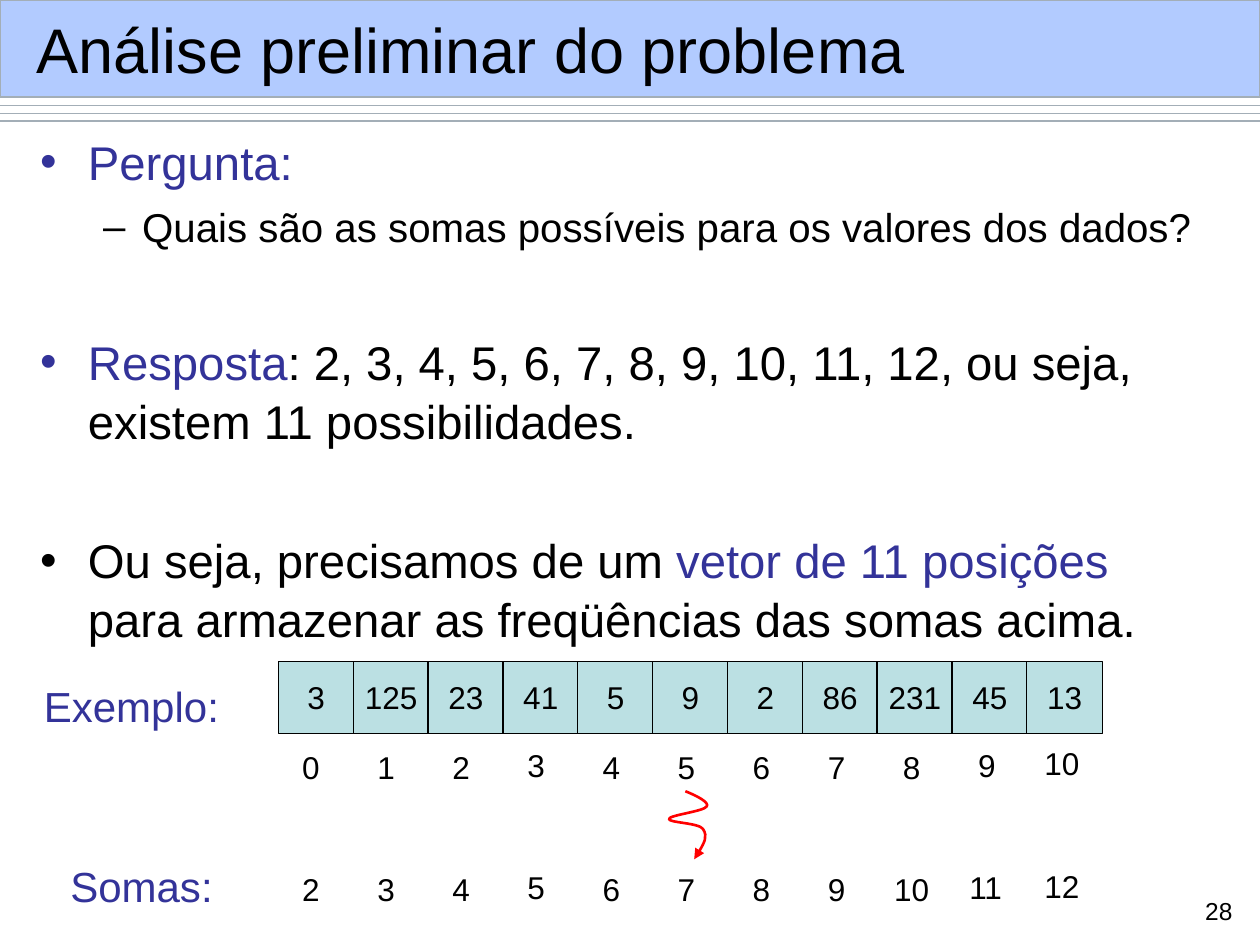
from dataclasses import dataclass
from lxml.etree import SubElement
from pptx import Presentation
from pptx.dml.color import RGBColor
from pptx.enum.shapes import MSO_CONNECTOR, MSO_SHAPE
from pptx.enum.text import MSO_ANCHOR, PP_ALIGN
from pptx.oxml.ns import qn
from pptx.util import Inches, Pt


@dataclass(frozen=True)
class Theme:
    font: str = "Arial"
    black: str = "000000"
    accent: str = "333399"
    band: str = "6699FF"
    rule: str = "A3AEB7"
    cell: str = "BBE0E3"
    arrow: str = "FF0000"
    title_size: float = 36
    body_size: float = 27
    detail_size: float = 23
    label_size: float = 24
    value_size: float = 18
    number_size: float = 14
    thin: float = 0.75
    thick: float = 1.5


def apply_format(target, values):
    for name, value in values.items():
        setattr(target, name, value)


class SlideBuilder:
    def __init__(self, slide, theme):
        self.slide = slide
        self.theme = theme

    def style_line(self, shape, color, width):
        shape.line.color.rgb = RGBColor.from_string(color)
        shape.line.width = Pt(width)

    def add_run(self, paragraph, text, size, color):
        run = paragraph.add_run()
        run.text = text
        apply_format(run.font, {"name": self.theme.font, "size": Pt(size), "bold": False})
        run.font.color.rgb = RGBColor.from_string(color)

    def fill_text(self, shape, text, size, color, align=PP_ALIGN.LEFT, anchor=MSO_ANCHOR.TOP, wrap=False):
        apply_format(shape.text_frame, {"word_wrap": wrap, "vertical_anchor": anchor})
        paragraph = shape.text_frame.paragraphs[0]
        paragraph.alignment = align
        self.add_run(paragraph, text, size, color)

    def title(self, text, left, top, width, height):
        title = self.slide.shapes.title
        position = {"left": left, "top": top, "width": width, "height": height}
        apply_format(title, {name: Inches(value) for name, value in position.items()})
        self.fill_text(title, text, self.theme.title_size, self.theme.black, anchor=MSO_ANCHOR.MIDDLE, wrap=True)
        title.element.getparent().append(title.element)

    def rule(self, top):
        line = self.slide.shapes.add_connector(
            MSO_CONNECTOR.STRAIGHT, Inches(0), Inches(top), Inches(10), Inches(top))
        self.style_line(line, self.theme.rule, self.theme.thin)
        SubElement(line.element.spPr, qn("a:effectLst"))

    def rectangle(self, left, top, width, height, fill, line):
        shape = self.slide.shapes.add_shape(
            MSO_SHAPE.RECTANGLE, Inches(left), Inches(top), Inches(width), Inches(height))
        shape.shadow.inherit = False
        shape.fill.solid()
        shape.fill.fore_color.rgb = RGBColor.from_string(fill)
        self.style_line(shape, line, self.theme.thin)
        return shape

    def band(self, height):
        shape = self.rectangle(0, 0, 10, height, self.theme.band, self.theme.rule)
        color = shape.element.spPr.find(qn("a:solidFill")).find(qn("a:srgbClr"))
        SubElement(color, qn("a:alpha"), val="50000")

    def cell(self, text, left, top, width, height):
        shape = self.rectangle(left, top, width, height, self.theme.cell, self.theme.black)
        self.fill_text(shape, text, self.theme.value_size, self.theme.black, PP_ALIGN.CENTER, MSO_ANCHOR.MIDDLE)

    def text_box(self, left, top, width, height):
        return self.slide.shapes.add_textbox(Inches(left), Inches(top), Inches(width), Inches(height))

    def label(self, text, left, top, width):
        box = self.text_box(left, top, width, 0.5)
        self.fill_text(box, text, self.theme.label_size, self.theme.accent)

    def index(self, text, center, top):
        width = 0.2 + 0.14 * len(text)
        box = self.text_box(center - width / 2, top, width, 0.4)
        self.fill_text(box, text, self.theme.value_size, self.theme.black)

    def slide_number(self, text):
        box = self.text_box(9.4, 7.06, 0.48, 0.34)
        self.fill_text(box, text, self.theme.number_size, self.theme.black, PP_ALIGN.RIGHT, wrap=True)

    def bullets(self, items, left, top, width, height):
        frame = self.text_box(left, top, width, height).text_frame
        frame.word_wrap = True
        for position, (level, space, runs) in enumerate(items):
            paragraph = frame.add_paragraph() if position else frame.paragraphs[0]
            apply_format(paragraph, {"level": level, "space_before": Pt(space), "line_spacing": 1.04})
            margin, indent, symbol, size = (
                (0.81, -0.31, "–", self.theme.detail_size) if level
                else (0.38, -0.38, "•", self.theme.body_size))
            properties = paragraph._p.get_or_add_pPr()
            properties.set("marL", str(Inches(margin)))
            properties.set("indent", str(Inches(indent)))
            bullet_color = SubElement(properties, qn("a:buClr"))
            SubElement(bullet_color, qn("a:srgbClr"), val=runs[0][1])
            SubElement(properties, qn("a:buFont"), typeface=self.theme.font)
            SubElement(properties, qn("a:buChar"), char=symbol)
            for text, color in runs:
                self.add_run(paragraph, text, size, color)

    def curved_arrow(self, start, points):
        builder = self.slide.shapes.build_freeform(Inches(start[0]), Inches(start[1]))
        builder.add_line_segments([(Inches(x), Inches(y)) for x, y in points], close=False)
        shape = builder.convert_to_shape()
        shape.shadow.inherit = False
        shape.fill.background()
        self.style_line(shape, self.theme.arrow, self.theme.thick)
        segments = list(shape.element.iter(qn("a:lnTo")))
        outline = segments[0].getparent()
        for position, segment in enumerate(segments):
            if position % 3 == 0:
                bezier = SubElement(outline, qn("a:cubicBezTo"))
            bezier.append(segment[0])
            outline.remove(segment)
        line = shape.element.spPr.find(qn("a:ln"))
        SubElement(line, qn("a:tailEnd"), type="triangle")


def main():
    presentation = Presentation()
    apply_format(presentation, {"slide_width": Inches(10), "slide_height": Inches(7.5)})
    theme = Theme()
    slide = presentation.slides.add_slide(presentation.slide_layouts[5])
    builder = SlideBuilder(slide, theme)

    for position in range(3):
        builder.rule(0.84 + 0.06 * position)
    builder.band(0.77)
    builder.title("Análise preliminar do problema", 0.19, 0.09, 9.64, 0.59)

    builder.bullets([
        (0, 6.8, [("Pergunta:", theme.accent)]),
        (1, 5.8, [("Quais são as somas possíveis para os valores dos dados?", theme.black)]),
        (0, 46, [("Resposta", theme.accent),
                 (": 2, 3, 4, 5, 6, 7, 8, 9, 10, 11, 12, ou seja, existem 11 possibilidades.", theme.black)]),
        (0, 46, [("Ou seja, precisamos de um ", theme.black),
                 ("vetor de 11 posições", theme.accent),
                 (" para armazenar as freqüências das somas acima.", theme.black)]),
    ], 0.22, 0.99, 9.46, 6.24)

    builder.label("Exemplo:", 0.25, 5.35, 1.59)
    builder.label("Somas:", 0.46, 6.78, 1.33)
    frequencies = [3, 125, 23, 41, 5, 9, 2, 86, 231, 45, 13]
    raised = {3: 0.02, 9: 0.02, 10: 0.03}
    cell_pitch = (8.15 - 2.21) / 10
    index_pitch = (8.43 - 2.47) / 10
    for position, frequency in enumerate(frequencies):
        builder.cell(str(frequency), 2.21 + cell_pitch * position, 5.25, 0.6, 0.57)
        center = 2.47 + index_pitch * position
        rise = raised.get(position, 0)
        builder.index(str(position), center, 5.89 - rise)
        builder.index(str(position + 2), center, 6.86 - rise)

    builder.curved_arrow((5.44, 6.28), [
        (5.54, 6.32), (5.63, 6.37), (5.61, 6.4),
        (5.59, 6.44), (5.31, 6.47), (5.31, 6.5),
        (5.3, 6.53), (5.55, 6.53), (5.58, 6.58),
        (5.62, 6.64), (5.57, 6.73), (5.51, 6.82),
    ])
    builder.slide_number("28")
    presentation.save("out.pptx")


if __name__ == "__main__":
    main()
